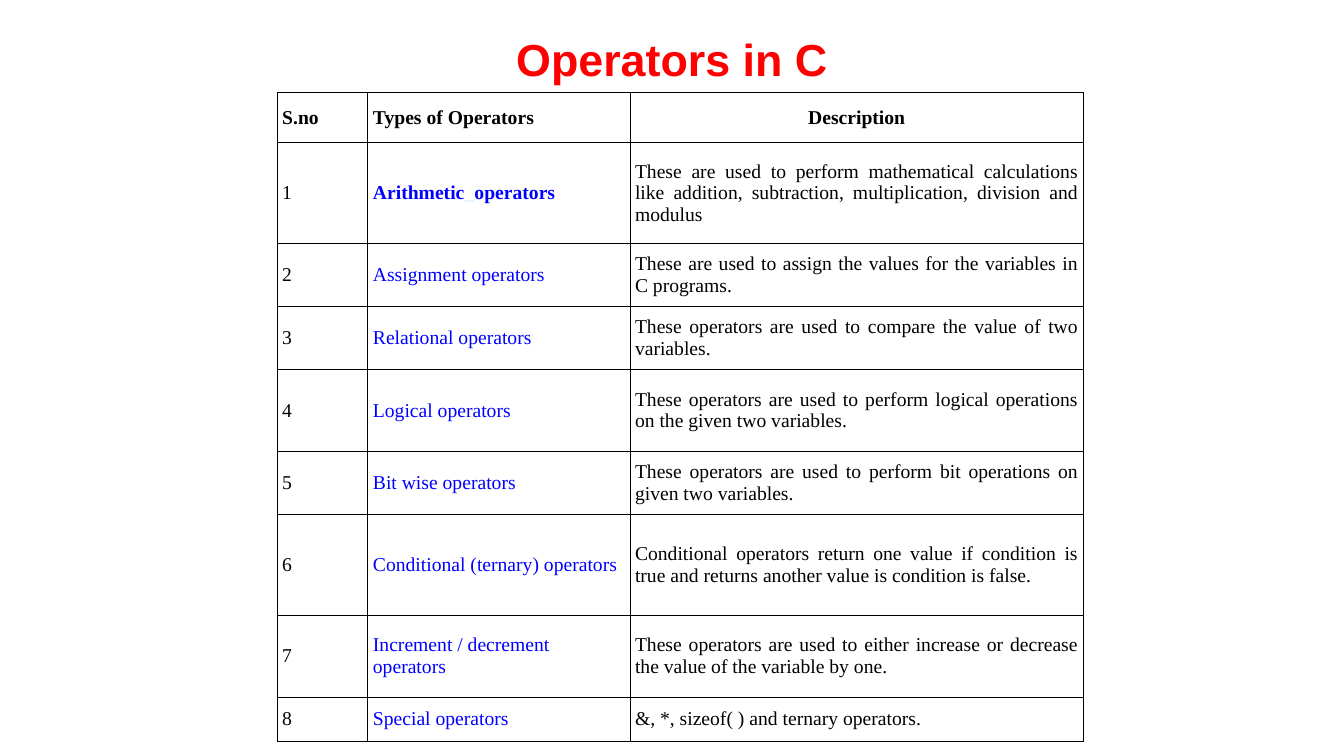
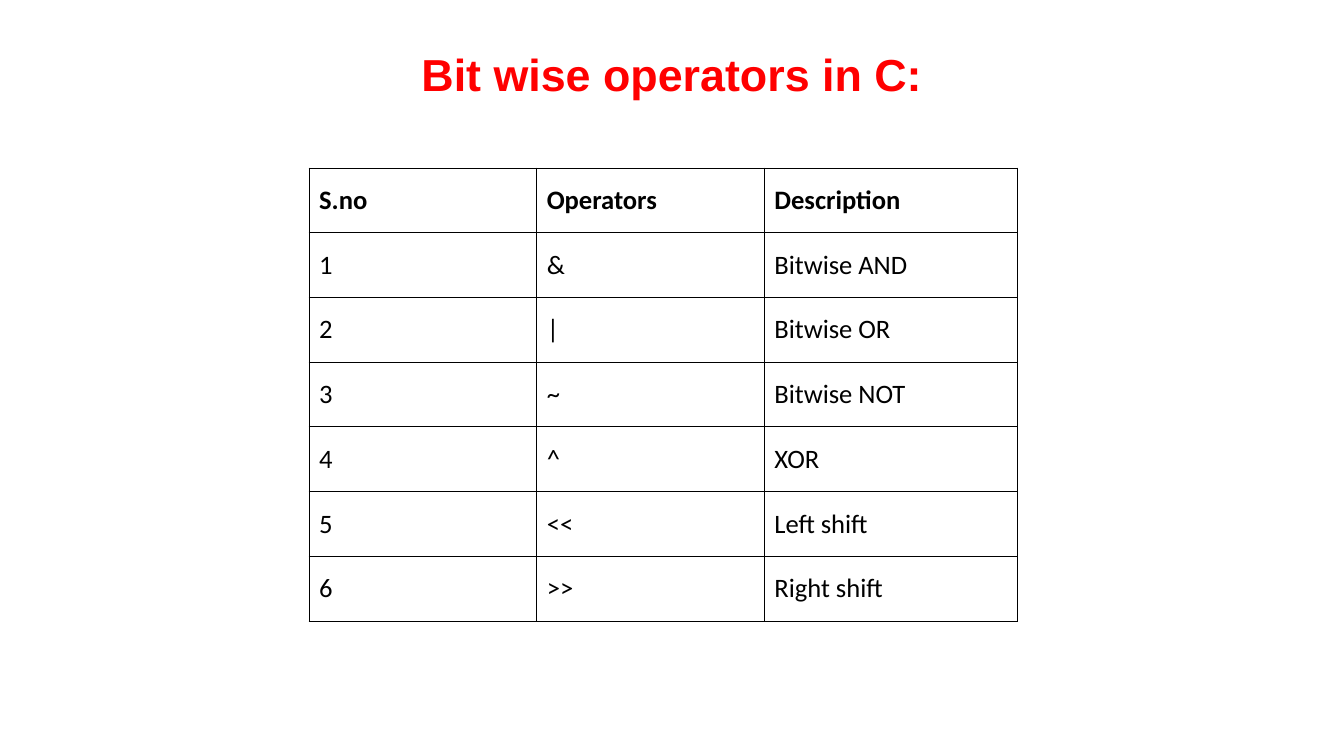
from pptx import Presentation
from pptx import util as u
from pptx.dml.color import RGBColor
from pptx.enum import text
from pptx.oxml import parse_xml
from pptx.oxml.ns import nsdecls

RED = RGBColor(0xFF, 0x00, 0x00)
BLUE = RGBColor(0x00, 0x00, 0xFF)
BLACK = RGBColor(0x00, 0x00, 0x00)
PALE = RGBColor(0xDA, 0xEC, 0xFF)
LEFT, CENTER, JUSTIFY = text.PP_ALIGN.LEFT, text.PP_ALIGN.CENTER, text.PP_ALIGN.JUSTIFY
MIDDLE = text.MSO_ANCHOR.MIDDLE
GRID_COLUMNS, GRID_ROWS = 160, 90
MARGINS = ("margin_left", "margin_top", "margin_right", "margin_bottom")

operator_types = [
    ("S.no", "Types of Operators", "Description"),
    ("1", "Arithmetic_operators", "These are used to perform mathematical calculations like addition, "
     "subtraction, multiplication, division and modulus"),
    ("2", "Assignment operators", "These are used to assign the values for the variables in C programs."),
    ("3", "Relational operators", "These operators are used to compare the value of two variables."),
    ("4", "Logical operators", "These operators are used to perform logical operations on the given two variables."),
    ("5", "Bit wise operators", "These operators are used to perform bit operations on given two variables."),
    ("6", "Conditional (ternary) operators", "Conditional operators return one value if condition is true "
     "and returns another value is condition is false."),
    ("7", "Increment / decrement operators", "These operators are used to either increase or decrease "
     "the value of the variable by one."),
    ("8", "Special operators", "&, *, sizeof( ) and ternary operators."),
]
bitwise_operators = [
    ("S.no", "Operators", "Description"),
    ("1", "&", "Bitwise AND"),
    ("2", "|", "Bitwise OR"),
    ("3", "~", "Bitwise NOT"),
    ("4", "^", "XOR"),
    ("5", "<<", "Left shift"),
    ("6", ">>", "Right shift"),
]
topics = [
    dict(title="Operators in C", title_top=3, title_height=8, rows=operator_types,
         left=33, top=11, widths=(10.8, 31.2, 54),
         heights=(6, 12, 7.5, 7.5, 9.75, 7.5, 12, 9.75, 5.25),
         font="Times New Roman", size=14, margins=(0.05, 0.02, 0.05, 0.02),
         colors=(BLACK, BLUE, BLACK), header_aligns=(LEFT, LEFT, CENTER), aligns=(LEFT, LEFT, JUSTIFY)),
    dict(title="Bit wise operators in C:", title_top=3.6, title_height=10.4, rows=bitwise_operators,
         left=36.8, top=20, widths=(27.1, 27.1, 30.1), heights=(7.71,) * len(bitwise_operators),
         font="Calibri", size=19, margins=(0.1, 0.05, 0.1, 0.05),
         colors=(BLACK,) * 3, header_aligns=(LEFT,) * 3, aligns=(LEFT,) * 3),
]

deck = Presentation()
deck.slide_width, deck.slide_height = u.Inches(13.33), u.Inches(7.5)


def across(columns):
    return round(deck.slide_width * columns / GRID_COLUMNS)


def down(rows):
    return round(deck.slide_height * rows / GRID_ROWS)


for topic in topics:
    slide = deck.slides.add_slide(deck.slide_layouts[6])
    heading = slide.shapes.add_textbox(across(26), down(topic["title_top"]),
                                       across(108), down(topic["title_height"])).text_frame
    heading.word_wrap = True
    heading.vertical_anchor = MIDDLE
    for margin in MARGINS:
        setattr(heading, margin, 0)
    title = heading.paragraphs[0]
    title.alignment = CENTER
    title_run = title.add_run()
    title_run.text = topic["title"]
    for key, value in dict(name="Arial", size=u.Pt(32), bold=True).items():
        setattr(title_run.font, key, value)
    title_run.font.color.rgb = RED

    rows, widths, heights = topic["rows"], topic["widths"], topic["heights"]
    operators = slide.shapes.add_table(len(rows), len(widths), across(topic["left"]), down(topic["top"]),
                                       across(sum(widths)), down(sum(heights))).table
    operators.first_row = operators.horz_banding = False
    for column, width in zip(operators.columns, widths):
        column.width = across(width)
    for row, height in zip(operators.rows, heights):
        row.height = down(height)

    for r, entries in enumerate(rows):
        header = r == 0
        for c, entry in enumerate(entries):
            cell = operators.cell(r, c)
            cell.vertical_anchor = MIDDLE
            for margin, inches in zip(MARGINS, topic["margins"]):
                setattr(cell, margin, u.Inches(inches))
            paragraph = cell.text_frame.paragraphs[0]
            paragraph.alignment = topic["header_aligns" if header else "aligns"][c]
            for piece in filter(None, entry.partition("_")):
                run = paragraph.add_run()
                run.text = piece
                bold = header or "_" in entry
                for key, value in dict(name=topic["font"], size=u.Pt(topic["size"]), bold=bold).items():
                    setattr(run.font, key, value)
                run.font.color.rgb = PALE if piece == "_" else BLACK if header else topic["colors"][c]
            properties = cell._tc.get_or_add_tcPr()
            for side in ("lnL", "lnR", "lnT", "lnB"):
                properties.append(parse_xml(
                    f'<a:{side} {nsdecls("a")} w="{u.Pt(0.75)}"><a:solidFill>'
                    f'<a:srgbClr val="{BLACK}"/></a:solidFill></a:{side}>'))
            cell.fill.background()

deck.save("out.pptx")
